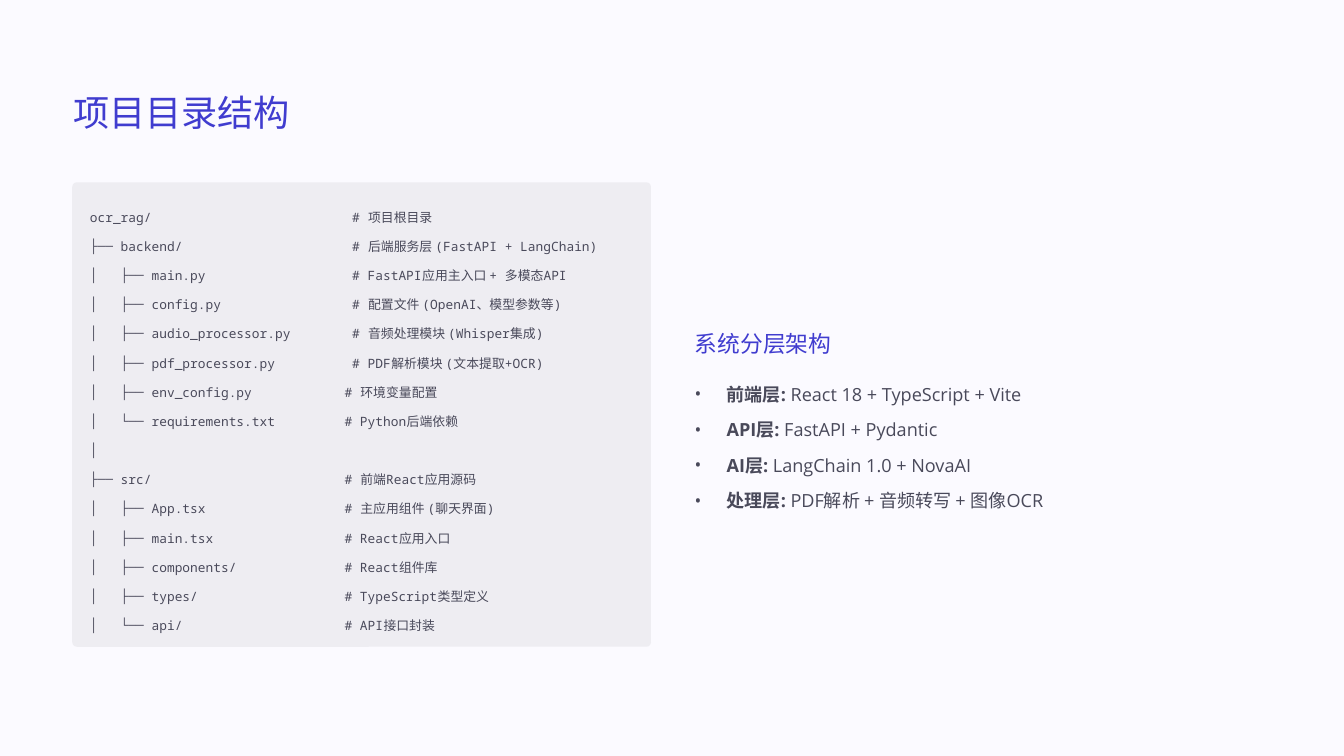
from lxml import etree
from pptx import Presentation
from pptx.dml.color import RGBColor
from pptx.enum.shapes import MSO_SHAPE
from pptx.enum.text import MSO_ANCHOR, MSO_AUTO_SIZE, PP_ALIGN
from pptx.oxml.ns import qn
from pptx.util import Inches, Pt

ROUNDED = MSO_SHAPE.ROUNDED_RECTANGLE
TOP = MSO_ANCHOR.TOP
NO_FIT = MSO_AUTO_SIZE.NONE
LEFT = PP_ALIGN.LEFT

CELL = Inches(16) // 160
PAPER, PANEL, ACCENT, INK = "FBFAFF", "EEEDF2", "403CCF", "49495A"
HEAD_FONT, BODY_FONT, CODE_FONT = "Times New Roman", "Open Sans", "Noto Sans Mono"

DIRECTORY_TREE = """\
ocr_rag/                          # 项目根目录
├── backend/                      # 后端服务层 (FastAPI + LangChain)
│   ├── main.py                   # FastAPI应用主入口 + 多模态API
│   ├── config.py                 # 配置文件 (OpenAI、模型参数等)
│   ├── audio_processor.py        # 音频处理模块 (Whisper集成)
│   ├── pdf_processor.py          # PDF解析模块 (文本提取+OCR)
│   ├── env_config.py            # 环境变量配置
│   └── requirements.txt         # Python后端依赖
│
├── src/                         # 前端React应用源码
│   ├── App.tsx                  # 主应用组件 (聊天界面)
│   ├── main.tsx                 # React应用入口
│   ├── components/              # React组件库
│   ├── types/                   # TypeScript类型定义
│   └── api/                     # API接口封装"""

LAYERS = [
    ("前端层:", " React 18 + TypeScript + Vite"),
    ("API层:", " FastAPI + Pydantic"),
    ("AI层:", " LangChain 1.0 + NovaAI"),
    ("处理层:", " PDF解析 + 音频转写 + 图像OCR"),
]


def paint(fill, color):
    """Make a fill solid in a hex colour."""
    fill.solid()
    fill.fore_color.rgb = RGBColor.from_string(color)


def cells(*box):
    """Turn a box in grid columns and rows into lengths."""
    return [round(side * CELL) for side in box]


def prepare(holder, box, wrap=True):
    """Place a text holder in its box and return its bare text frame."""
    holder.left, holder.top, holder.width, holder.height = cells(*box)
    frame = holder.text_frame
    frame.margin_left = frame.margin_top = 0
    frame.margin_right = frame.margin_bottom = 0
    frame.vertical_anchor = TOP
    frame.auto_size = NO_FIT
    frame.word_wrap = wrap
    return frame


def style(paragraph, font, size, color, leading):
    """Set the font, colour and fixed line height of a paragraph."""
    paragraph.alignment = LEFT
    paragraph.line_spacing = Pt(leading)
    paragraph.space_before = paragraph.space_after = Pt(0)
    paragraph.font.name = font
    paragraph.font.size = Pt(size)
    paragraph.font.color.rgb = RGBColor.from_string(color)


def add_bullet(paragraph, indent):
    """Give a paragraph a round bullet with a hanging indent."""
    properties = paragraph._p.get_or_add_pPr()
    properties.set("marL", str(indent))
    properties.set("indent", str(-indent))
    etree.SubElement(properties, qn("a:buFont")).set("typeface", BODY_FONT)
    etree.SubElement(properties, qn("a:buChar")).set("char", "•")


def write_heading(holder, box, text, size, leading):
    """Write one accent-coloured heading line."""
    frame = prepare(holder, box, wrap=False)
    frame.text = text
    style(frame.paragraphs[0], HEAD_FONT, size, ACCENT, leading)


def draw_tree(slide, box):
    """Draw the rounded code panel with the directory tree inside."""
    x, y, width, height = box
    panel = slide.shapes.add_shape(ROUNDED, *cells(*box))
    panel.adjustments[0] = 0.01
    panel.shadow.inherit = False
    paint(panel.fill, PANEL)
    panel.line.fill.background()

    listing = slide.shapes.add_textbox(0, 0, CELL, CELL)
    frame = prepare(listing, (x + 2.1, y + 1.6, width - 4.4, height - 3.2))
    frame.text = DIRECTORY_TREE
    for line in frame.paragraphs:
        style(line, CODE_FONT, 11, INK, 25)


def draw_layers(slide, box):
    """Draw the architecture heading and its bulleted layers."""
    x, y, width, height = box
    heading = slide.shapes.add_textbox(0, 0, CELL, CELL)
    write_heading(heading, (x, y, 27.1, 3.4), "系统分层架构", 19.5, 24)

    frame = prepare(slide.placeholders[1], (x, y + 5.5, width, height - 5.5))
    for index, (layer, stack) in enumerate(LAYERS):
        item = frame.add_paragraph() if index else frame.paragraphs[0]
        add_bullet(item, round(3.8 * CELL))
        style(item, BODY_FONT, 15.5, INK, 25)
        item.space_before = Pt(5.5 if index else 0)
        name = item.add_run()
        name.text = layer
        name.font.bold = True
        item.add_run().text = stack


def build_structure_slide(deck):
    """Build the slide on the project's folders and layers."""
    slide = deck.slides.add_slide(deck.slide_layouts[1])
    paint(slide.background.fill, PAPER)
    write_heading(slide.shapes.title, (8.7, 10.5, 43.4, 5.4), "项目目录结构", 31, 39)
    draw_tree(slide, (8.6, 21.7, 68.9, 55.3))
    draw_layers(slide, (82.7, 39.2, 68.7, 21.7))


def main():
    """Create the deck and save it."""
    deck = Presentation()
    deck.slide_width, deck.slide_height = cells(160, 90)
    build_structure_slide(deck)
    deck.save("out.pptx")


if __name__ == "__main__":
    main()
